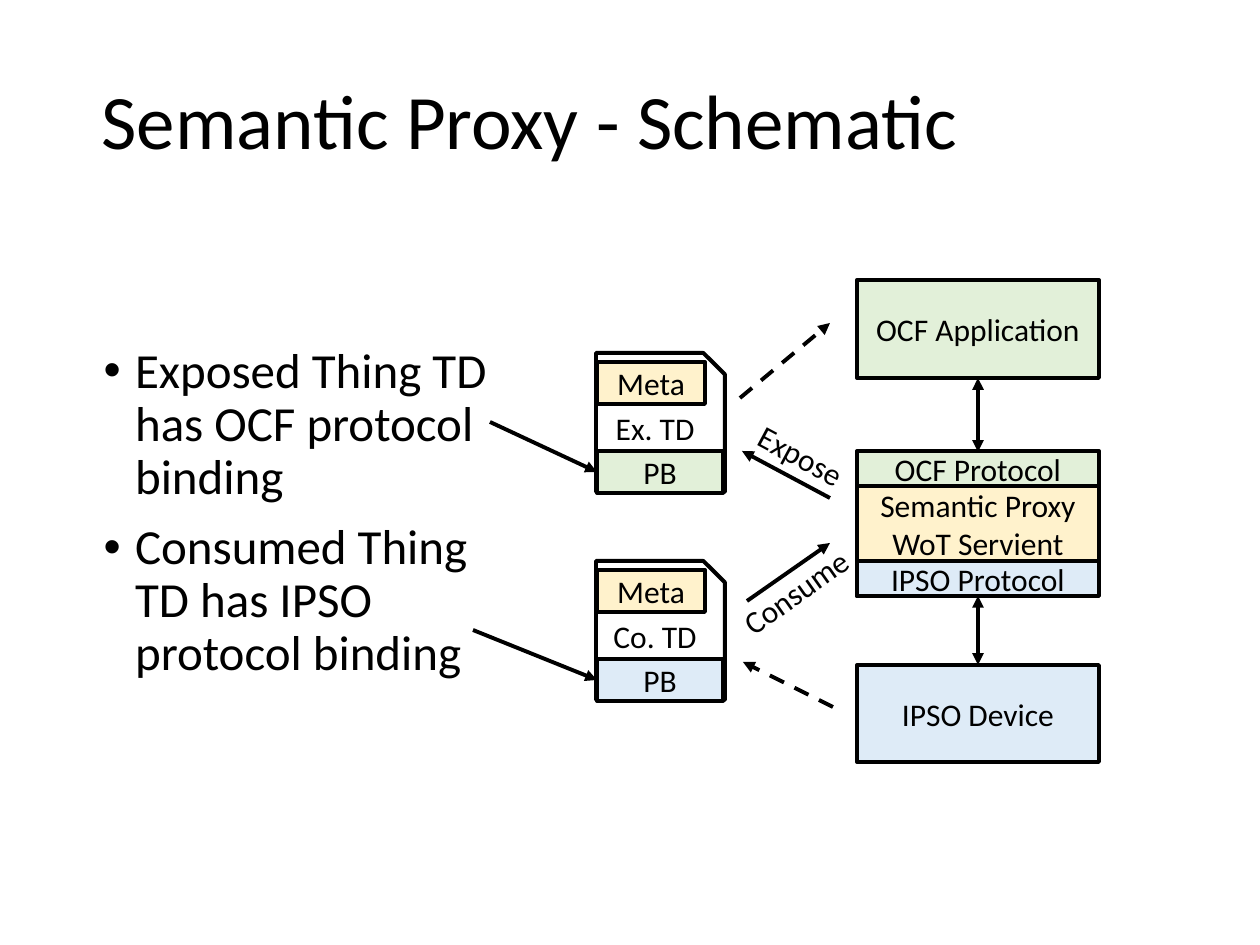
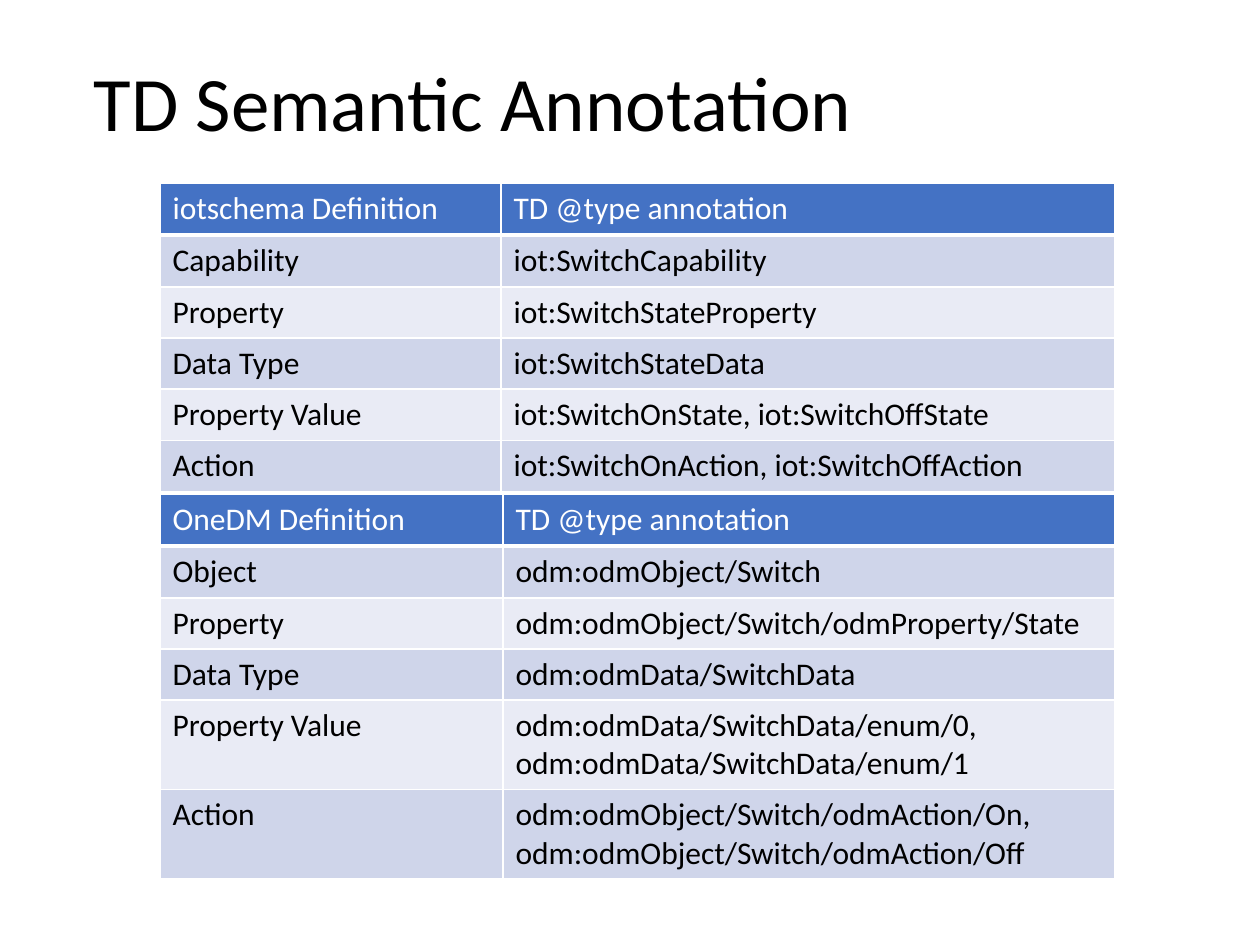
import pptx
import pptx.dml.color
import pptx.enum.dml
import pptx.enum.shapes
import pptx.enum.text
import pptx.oxml.ns
import pptx.util
from lxml import etree

COLORS = {
    "black": "000000",
    "white": "FFFFFF",
    "semantic": "FFF2CC",
    "ocf": "E2F0D9",
    "ipso": "DEEBF7",
    "header": "4472C4",
    "band_dark": "CFD5EA",
    "band_light": "E9EBF5",
}
FONT = "Calibri"
LINE_WIDTH = 2.25
PX_PER_INCH = 126
ALIGN = pptx.enum.text.PP_ALIGN
ANCHOR = pptx.enum.text.MSO_ANCHOR
SHAPE = pptx.enum.shapes.MSO_SHAPE
TOP, LEFT, BOTTOM = 0, 1, 2

SCHEMA_ROWS = [
    ("iotschema Definition", "TD @type annotation"),
    ("Capability", "iot:SwitchCapability"),
    ("Property", "iot:SwitchStateProperty"),
    ("Data Type", "iot:SwitchStateData"),
    ("Property Value", "iot:SwitchOnState, iot:SwitchOffState"),
    ("Action", "iot:SwitchOnAction, iot:SwitchOffAction"),
]
ONEDM_ROWS = [
    ("OneDM Definition", "TD @type annotation"),
    ("Object", "odm:odmObject/Switch"),
    ("Property", "odm:odmObject/Switch/odmProperty/State"),
    ("Data Type", "odm:odmData/SwitchData"),
    ("Property Value", "odm:odmData/SwitchData/enum/0, odm:odmData/SwitchData/enum/1"),
    ("Action", "odm:odmObject/Switch/odmAction/On, odm:odmObject/Switch/odmAction/Off"),
]


def px(length):
    return pptx.util.Emu(round(length * 914400 / PX_PER_INCH))


def rgb(color):
    return pptx.dml.color.RGBColor.from_string(COLORS[color])


def add_xml(parent, tag, **attributes):
    return etree.SubElement(parent, pptx.oxml.ns.qn(tag), attributes)


def write_text(frame, text, size=18, color="black", align=ALIGN.LEFT,
               spacing=None, before=None, bullet=None):
    frame.text = text
    for paragraph in frame.paragraphs:
        paragraph.alignment = align
        if spacing:
            paragraph.line_spacing = spacing
        if before is not None:
            paragraph.space_before = pptx.util.Pt(before)
        if bullet:
            properties = paragraph._p.get_or_add_pPr()
            indent = pptx.util.Inches(0.25)
            properties.set("marL", str(indent))
            properties.set("indent", str(-indent))
            add_xml(properties, "a:buChar", char=bullet)
        for run in paragraph.runs:
            run.font.name = FONT
            run.font.size = pptx.util.Pt(size)
            run.font.bold = False
            run.font.color.rgb = rgb(color)


def fill_placeholder(placeholder, box, text, anchor, **text_format):
    placeholder.left, placeholder.top, placeholder.width, placeholder.height = map(px, box)
    frame = placeholder.text_frame
    frame.auto_size = pptx.enum.text.MSO_AUTO_SIZE.NONE
    frame.vertical_anchor = anchor
    write_text(frame, text, spacing=0.9, **text_format)


def add_title(slide, left, top, text):
    fill_placeholder(slide.shapes.title, (left, top, 1086, 183), text,
                     ANCHOR.MIDDLE, size=44, before=0)


def add_block(slide, box, text, fill, kind=SHAPE.RECTANGLE):
    block = slide.shapes.add_shape(kind, *map(px, box))
    block.shadow.inherit = False
    block.fill.solid()
    block.fill.fore_color.rgb = rgb(fill)
    block.line.color.rgb = rgb("black")
    block.line.width = pptx.util.Pt(LINE_WIDTH)
    block.text_frame.word_wrap = True
    block.text_frame.vertical_anchor = ANCHOR.MIDDLE
    write_text(block.text_frame, text, align=ALIGN.CENTER)
    return block


def add_label(slide, box, text, rotation, align):
    label = slide.shapes.add_textbox(*map(px, box))
    label.rotation = rotation
    label.text_frame.word_wrap = False
    label.text_frame.auto_size = pptx.enum.text.MSO_AUTO_SIZE.SHAPE_TO_FIT_TEXT
    write_text(label.text_frame, text, align=align)


def add_arrow(slide, start=(0, 0), end=(0, 0), start_joint=None, end_joint=None,
              dashed=False, both_ends=False):
    arrow = slide.shapes.add_connector(
        pptx.enum.shapes.MSO_CONNECTOR.STRAIGHT, *map(px, (*start, *end)))
    if start_joint:
        arrow.begin_connect(*start_joint)
    if end_joint:
        arrow.end_connect(*end_joint)
    arrow.line.color.rgb = rgb("black")
    arrow.line.width = pptx.util.Pt(LINE_WIDTH)
    if dashed:
        arrow.line.dash_style = pptx.enum.dml.MSO_LINE.DASH
    line = arrow.line._get_or_add_ln()
    if both_ends:
        add_xml(line, "a:headEnd", type="triangle")
    add_xml(line, "a:tailEnd", type="triangle")
    add_xml(arrow._element.spPr, "a:effectLst")


def add_thing_description(slide, left, top, name, binding_color):
    add_block(slide, (left, top, 129, 139), name, "white", SHAPE.SNIP_1_RECTANGLE)
    add_block(slide, (left + 1, top + 9, 108, 42), "Meta", "semantic")
    return add_block(slide, (left + 1, top + 98, 126, 42), "PB", binding_color)


def add_proxy_stack(slide, left, top, width):
    application = add_block(slide, (left, top, width, 98), "OCF Application", "ocf")
    proxy = add_block(slide, (left, top + 172, width, 144),
                      "Semantic Proxy\nWoT Servient", "semantic")
    device = add_block(slide, (left, top + 385, width, 97), "IPSO Device", "ipso")
    add_block(slide, (left, top + 281, width, 35), "IPSO Protocol", "ipso")
    add_block(slide, (left, top + 171, width, 35), "OCF Protocol", "ocf")
    for upper, lower in ((application, proxy), (proxy, device)):
        add_arrow(slide, start_joint=(upper, BOTTOM), end_joint=(lower, TOP), both_ends=True)


def add_exchange_arrows(slide, left, top):
    for start, end, dashed in (
        ((0, 75), (90, 0), True),
        ((90, 175), (2, 128), False),
        ((7, 278), (90, 220), False),
        ((93, 384), (3, 339), True),
    ):
        add_arrow(slide, (left + start[0], top + start[1]),
                  (left + end[0], top + end[1]), dashed=dashed)
    add_label(slide, (left - 17, top + 243, 146, 50), "Consume", 324.7, ALIGN.LEFT)
    add_label(slide, (left + 3, top + 107, 116, 50), "Expose", 28.2, ALIGN.CENTER)


def build_schematic(presentation):
    slide = presentation.slides.add_slide(presentation.slide_layouts[1])
    add_title(slide, 89, 33, "Semantic Proxy - Schematic")
    fill_placeholder(slide.placeholders[1], (91, 340, 446, 355),
                     "Exposed Thing TD has OCF protocol binding\n"
                     "Consumed Thing TD has IPSO protocol binding",
                     ANCHOR.TOP, size=28, before=10, bullet="•")
    add_proxy_stack(slide, 857, 280, 242)
    for top, name, color, start in (
        (353, "Ex. TD", "ocf", (490, 422)),
        (561, "Co. TD", "ipso", (473, 630)),
    ):
        binding = add_thing_description(slide, 596, top, name, color)
        add_arrow(slide, start, end_joint=(binding, LEFT))
    add_exchange_arrows(slide, 740, 323)


def format_cell(cell, text, row):
    borders = {"L": 1, "R": 1, "T": 3 if row == 1 else 1, "B": 3 if row == 0 else 1}
    properties = cell._tc.get_or_add_tcPr()
    for side, width in borders.items():
        line = add_xml(properties, f"a:ln{side}", w=str(pptx.util.Pt(width)))
        fill = add_xml(line, "a:solidFill")
        add_xml(fill, "a:srgbClr", val=COLORS["white"])
    cell.fill.solid()
    band = "band_dark" if row % 2 else "band_light"
    cell.fill.fore_color.rgb = rgb("header" if row == 0 else band)
    write_text(cell.text_frame, text, color="white" if row == 0 else "black")


def add_annotation_table(slide, top, rows, column_widths, row_heights):
    frame = slide.shapes.add_table(
        len(rows), len(column_widths), px(160), px(top),
        px(sum(column_widths)), px(sum(row_heights)))
    table = frame.table
    for column, width in zip(table.columns, column_widths):
        column.width = px(width)
    for index, (texts, height) in enumerate(zip(rows, row_heights)):
        table.rows[index].height = px(height)
        for column, text in enumerate(texts):
            format_cell(table.cell(index, column), text, index)


def build_annotation(presentation):
    slide = presentation.slides.add_slide(presentation.slide_layouts[5])
    add_title(slide, 81, 15, "TD Semantic Annotation")
    add_annotation_table(slide, 183, SCHEMA_ROWS, (341, 614), (52, 52, 51, 51, 51, 51))
    add_annotation_table(slide, 494, ONEDM_ROWS, (343, 612), (52, 52, 51, 51, 89, 89))


def main():
    presentation = pptx.Presentation()
    presentation.slide_width = px(1260)
    presentation.slide_height = px(945)
    build_schematic(presentation)
    build_annotation(presentation)
    presentation.save("out.pptx")


if __name__ == "__main__":
    main()
